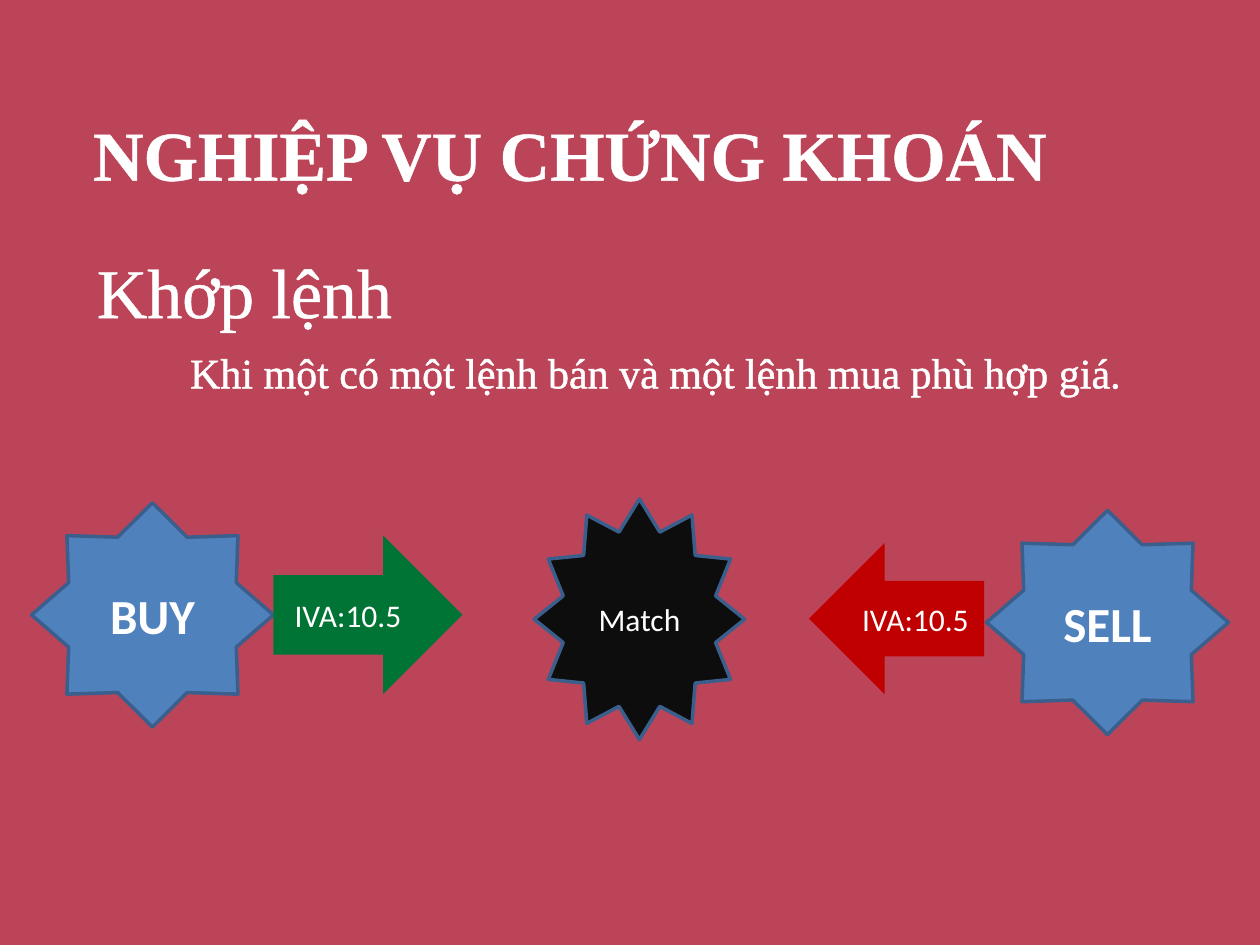
from pptx import Presentation
from pptx.dml.color import RGBColor
from pptx.enum.shapes import MSO_SHAPE as Kind
from pptx.enum.text import MSO_ANCHOR as Anchor, MSO_AUTO_SIZE as Fit, PP_ALIGN as Align
from pptx.oxml import parse_xml
from pptx.oxml.ns import nsdecls
from pptx.util import Inches, Pt

WHITE = "FFFFFF"
BLUE = "4F81BD"
EDGE = "3A5F8C"


def paint(fill, color):
    """Give a fill one solid colour."""
    fill.solid()
    fill.fore_color.rgb = RGBColor.from_string(color)


def style(frame, text, size, font, bold):
    """Set the text of a frame and format its run in white."""
    frame.text = text
    run = frame.paragraphs[0].runs[0]
    run.font.size = Pt(size)
    run.font.name = font
    run.font.bold = bold
    paint(run.font.fill, WHITE)
    return run


def outline(run, color, width):
    """Draw a line around the letters of a run."""
    line = parse_xml(
        f'<a:ln {nsdecls("a")} w="{Pt(width)}"><a:solidFill>'
        f'<a:srgbClr val="{color}"/></a:solidFill></a:ln>')
    run.font._element.insert(0, line)


def add_text(slide, box, text, size, bold=False):
    """Add an unwrapped line of outlined text."""
    frame = slide.shapes.add_textbox(*map(Inches, box)).text_frame
    frame.word_wrap = False
    frame.auto_size = Fit.SHAPE_TO_FIT_TEXT
    run = style(frame, text, size, "Times New Roman", bold)
    outline(run, WHITE, 1.45)


def add_label(slide, kind, box, color, text, size=18, bold=False, edge=None):
    """Add a filled shape with centred text and an optional edge."""
    shape = slide.shapes.add_shape(kind, *map(Inches, box))
    shape.shadow.inherit = False
    paint(shape.fill, color)
    if edge:
        paint(shape.line.fill, edge)
        shape.line.width = Pt(2)
    else:
        shape.line.fill.background()
    frame = shape.text_frame
    frame.word_wrap = True
    frame.vertical_anchor = Anchor.MIDDLE
    style(frame, text, size, "Calibri", bold)
    frame.paragraphs[0].alignment = Align.CENTER


def main():
    """Build the order matching slide."""
    deck = Presentation()
    deck.slide_width, deck.slide_height = Inches(10), Inches(7.5)
    slide = deck.slides.add_slide(deck.slide_layouts[6])
    paint(slide.background.fill, "BC4458")

    add_text(slide, (0.64, 0.83, 7.85, 0.77), "NGHIỆP VỤ CHỨNG KHOÁN", 40, True)
    add_text(slide, (0.67, 1.92, 2.57, 0.77), "Khớp lệnh", 40)
    add_text(slide, (1.41, 2.7, 7.65, 0.5),
             "Khi một có một lệnh bán và một lệnh mua phù hợp giá.", 24)

    for side, left, top in (("SELL", 7.83, 4.05), ("BUY", 0.25, 3.99)):
        add_label(slide, Kind.STAR_8_POINT, (left, top, 1.92, 1.78), BLUE,
                  side, 28, True, EDGE)

    order = "IVA:10.5"
    add_label(slide, Kind.RIGHT_ARROW, (2.17, 4.25, 1.5, 1.26), "007434", order)
    add_label(slide, Kind.LEFT_ARROW, (6.42, 4.31, 1.39, 1.2), "C00000", order)
    add_label(slide, Kind.STAR_12_POINT, (4.24, 3.96, 1.67, 1.91), "0D0D0D",
              "Match", edge=EDGE)

    deck.save("out.pptx")


main()
